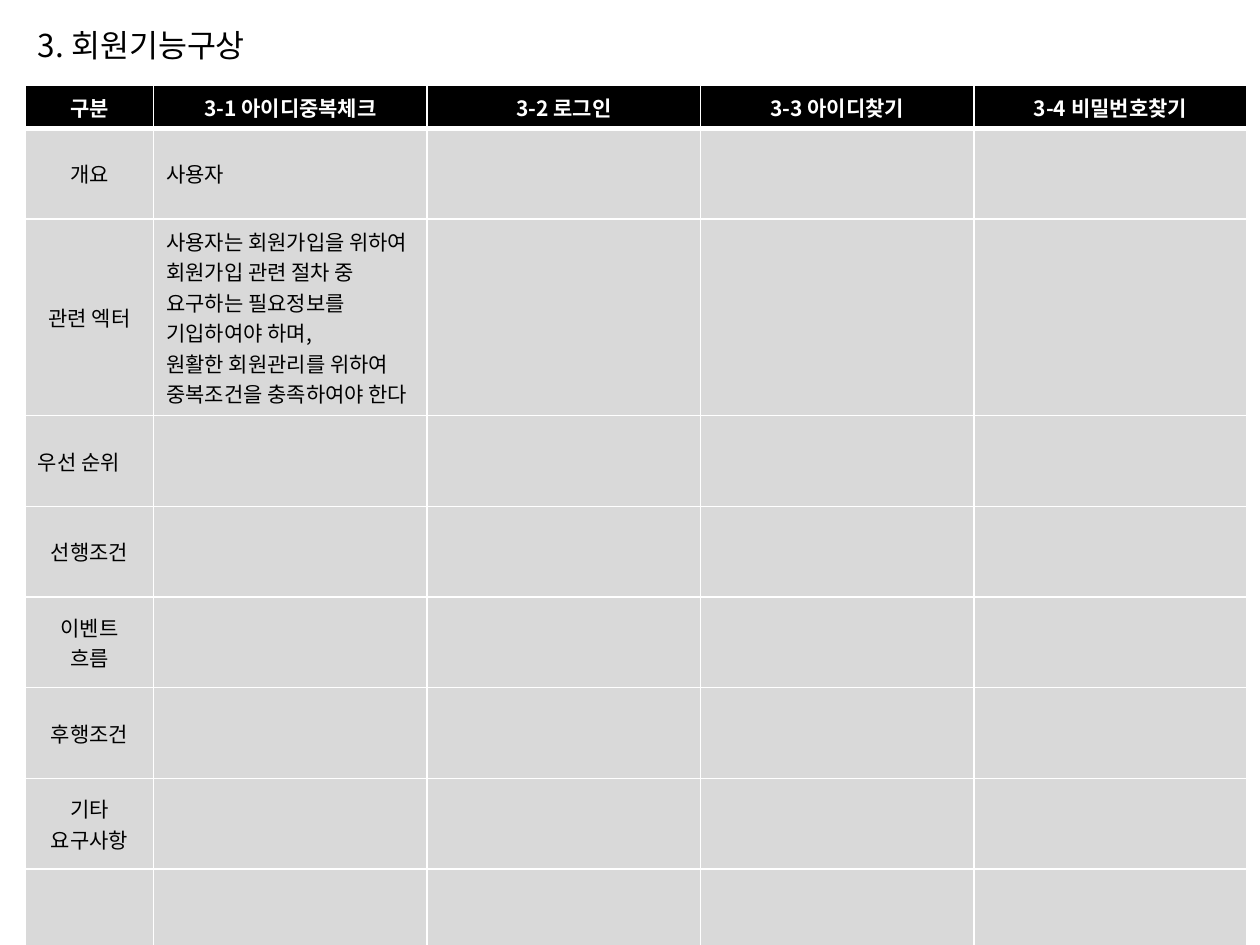
"""Build the member feature planning slide."""
import pptx
import pptx.dml.color
import pptx.enum.text
import pptx.oxml
import pptx.oxml.ns
import pptx.util
from pptx.util import Inches

FONT = "Noto Sans CJK KR"
COLORS = {"black": "000000", "white": "FFFFFF", "gray": "D9D9D9"}
ALIGN = pptx.enum.text.PP_ALIGN
ANCHOR = pptx.enum.text.MSO_ANCHOR
HEADINGS = ["구분", "3-1 아이디중복체크", "3-2 로그인", "3-3 아이디찾기", "3-4 비밀번호찾기"]
ROWS = [
    ["개요", "사용자"],
    ["관련 엑터", "사용자는 회원가입을 위하여 회원가입 관련 절차 중 요구하는 필요정보를 "
     "기입하여야 하며,\v원활한 회원관리를 위하여 중복조건을 충족하여야 한다"],
    ["우선 순위"],
    ["선행조건"],
    ["이벤트\n흐름"],
    ["후행조건"],
    ["기타 요구사항"],
    [],
]
LEFT_ALIGNED_LABEL = "우선 순위"
HEADER_HEIGHT, ACTOR_HEIGHT, ROW_HEIGHT = 0.34, 1.56, 0.72


def rgb(name):
    """Return the named colour."""
    return pptx.dml.color.RGBColor.from_string(COLORS[name])


def format_text(frame, size, color, align, bold=False):
    """Apply one font and alignment to every paragraph of a frame."""
    for para in frame.paragraphs:
        para.alignment = align
        font = para.font
        font.name, font.size, font.bold = FONT, pptx.util.Pt(size), bold
        font.color.rgb = rgb(color)
        for properties in para._p.iter(pptx.oxml.ns.qn("a:defRPr")):
            east_asian = pptx.oxml.parse_xml(
                f'<a:ea {pptx.oxml.ns.nsdecls("a")} typeface="{FONT}"/>')
            properties.find(pptx.oxml.ns.qn("a:latin")).addnext(east_asian)


def add_borders(cell, top, bottom):
    """Give a cell white borders with the given top and bottom points."""
    properties = cell._tc.get_or_add_tcPr()
    for side, points in (("L", 1), ("R", 1), ("T", top), ("B", bottom)):
        properties.append(pptx.oxml.parse_xml(
            f'<a:ln{side} {pptx.oxml.ns.nsdecls("a")} w="{pptx.util.Pt(points)}">'
            f'<a:solidFill><a:srgbClr val="{COLORS["white"]}"/></a:solidFill>'
            f'</a:ln{side}>'))


def fill_cell(cell, text, row, column):
    """Write and style one table cell."""
    header = row == 0
    centered = header or (column == 0 and text != LEFT_ALIGNED_LABEL)
    cell.text = text
    cell.vertical_anchor = ANCHOR.MIDDLE
    add_borders(cell, 3 if row == 1 else 1, 3 if header else 1)
    cell.fill.solid()
    cell.fill.fore_color.rgb = rgb("black" if header else "gray")
    format_text(cell.text_frame, 12, "white" if header else "black",
                ALIGN.CENTER if centered else ALIGN.LEFT, header)


def add_feature_table(page):
    """Add the table of member features."""
    content = [HEADINGS] + ROWS
    widths = [1.02] + [2.17] * 4
    heights = [HEADER_HEIGHT, ROW_HEIGHT, ACTOR_HEIGHT]
    heights += [ROW_HEIGHT] * (len(content) - len(heights))
    table = page.shapes.add_table(
        len(heights), len(widths), Inches(0.2), Inches(0.68),
        Inches(sum(widths)), Inches(sum(heights))).table
    for column, width in zip(table.columns, widths):
        column.width = Inches(width)
    for row, height in enumerate(heights):
        table.rows[row].height = Inches(height)
        for column in range(len(widths)):
            texts = content[row]
            text = texts[column] if column < len(texts) else ""
            fill_cell(table.cell(row, column), text, row, column)


def set_title(page, text):
    """Place and format the slide title."""
    title = page.shapes.title
    title.left, title.top = Inches(0.2), Inches(0.16)
    title.width, title.height = Inches(2), Inches(0.4)
    frame = title.text_frame
    frame.text = text
    frame.word_wrap = False
    frame.auto_size = pptx.enum.text.MSO_AUTO_SIZE.SHAPE_TO_FIT_TEXT
    frame.vertical_anchor = ANCHOR.TOP
    format_text(frame, 18, "black", ALIGN.LEFT)


def main():
    """Create and save the deck."""
    deck = pptx.Presentation()
    deck.slide_width, deck.slide_height = Inches(10), Inches(7.5)
    page = deck.slides.add_slide(deck.slide_layouts[5])
    set_title(page, "3. 회원기능구상")
    add_feature_table(page)
    deck.save("out.pptx")


main()
